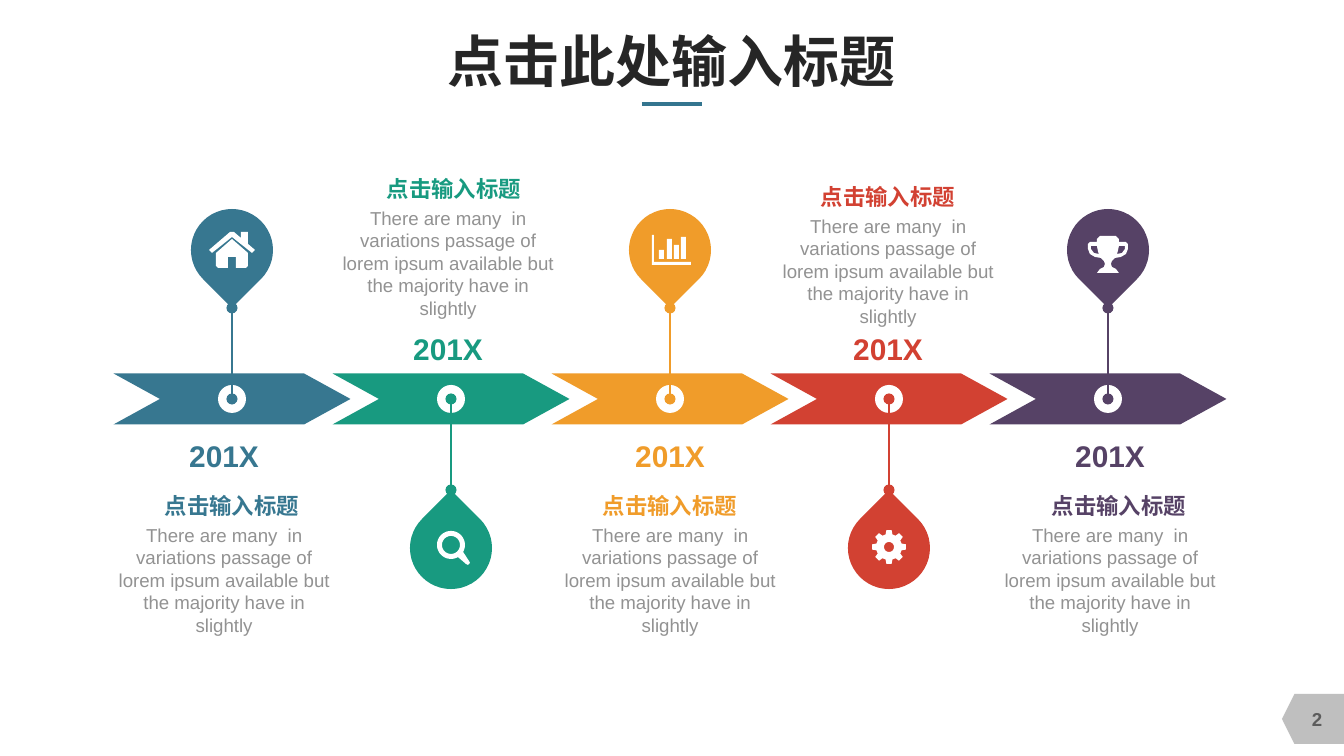
import math

from lxml import etree
from pptx import Presentation
from pptx.dml.color import RGBColor
from pptx.enum.shapes import MSO_CONNECTOR, MSO_SHAPE
from pptx.enum.text import MSO_ANCHOR, PP_ALIGN
from pptx.oxml.ns import qn
from pptx.util import Emu, Pt

STRAIGHT = MSO_CONNECTOR.STRAIGHT
ARROW = MSO_SHAPE.NOTCHED_RIGHT_ARROW
ELLIPSE = MSO_SHAPE.OVAL
TEARDROP = MSO_SHAPE.TEAR
PAGE_TAB = MSO_SHAPE.FLOWCHART_OFFPAGE_CONNECTOR
MIDDLE, TOP = MSO_ANCHOR.MIDDLE, MSO_ANCHOR.TOP
CENTER = PP_ALIGN.CENTER

TITLE = "点击此处输入标题"
YEAR = "201X"
HEADING = "点击输入标题"
BODY = ("There are many  in variations passage of lorem ipsum "
        "available but the majority have in slightly")
PAGE_NUMBER = "2"
WHITE, GREY = "FFFFFF", "929292"


def arc(x, y, radius, start=0, sweep=360, steps=48):
    angles = [math.radians(start + sweep * n / steps) for n in range(steps + 1)]
    return [(x + radius * math.cos(a), y + radius * math.sin(a)) for a in angles]


def mirrored(points):
    return [(-x, y) for x, y in reversed(points)]


def bar(left, top, right, bottom):
    return [(left, top), (right, top), (right, bottom), (left, bottom)]


def gear_rim(x, y, teeth=8):
    profile = [(-15, 13), (-9, 17), (9, 17), (15, 13)]
    return [arc(x, y, radius, tooth * 360 / teeth + turn)[0]
            for tooth in range(teeth) for turn, radius in profile]


ROOF = [(-20, 3), (-23, 0), (-2, -18), (2, -18), (9, -12), (9, -18), (16, -18),
        (16, -6), (23, 0), (20, 3), (0, -13)]
WALLS = [(-16, 3), (0, -11), (16, 3), (16, 16), (14, 18), (4, 18), (4, 7),
         (-4, 7), (-4, 18), (-14, 18), (-16, 16)]
AXES = [(-18, -15), (-16, -15), (-16, 12), (21, 12), (21, 15), (-18, 15)]
BARS = [(-11, 0), (-3, -11), (4, -5), (11, -13)]
CUP_SIDE = [(8, -14), (11, -11), (11, -8), (18, -8), (20, -6), (20, -1), (18, 4),
            (13, 7), (7, 8), (4, 11), (3, 14), (4, 17), (8, 19), (11, 23)]
CUP_HANDLE = [(11, -4), (17, -4), (17, -1), (14, 3), (9, 4), (10, 1)]
LENS_GRIP = [(18, 13), (19, 15), (17, 17), (15, 16)]

HOUSE = [ROOF, WALLS]
CHART = [AXES] + [bar(x, y, x + 5, 9) for x, y in BARS]
TROPHY = [CUP_SIDE + mirrored(CUP_SIDE), CUP_HANDLE, mirrored(CUP_HANDLE)]
GEAR = [gear_rim(0, -1), arc(0, -1, 5)]
LENS = [arc(0, -3, 14, 60, 330) + LENS_GRIP, arc(0, -3, 9)]

STAGES = [
    {"color": "377790", "icon": HOUSE, "pin_up": True,
     "text_x": 224, "heading_x": 232, "heading_y": 492},
    {"color": "189A80", "icon": LENS, "pin_up": False,
     "text_x": 448, "heading_x": 454, "heading_y": 175},
    {"color": "F09C2A", "icon": CHART, "pin_up": True,
     "text_x": 670, "heading_x": 670, "heading_y": 492},
    {"color": "D24132", "icon": GEAR, "pin_up": False,
     "text_x": 888, "heading_x": 888, "heading_y": 183},
    {"color": "564266", "icon": TROPHY, "pin_up": True,
     "text_x": 1110, "heading_x": 1119, "heading_y": 492},
]
FIRST_X, PITCH, AXIS_Y = 232, 219, 399
PIN_SIZE = 82


def px(length):
    return Emu(round(length * 914400 / 134.4))


def rgb(color):
    return RGBColor.from_string(color)


def paint(shape, color):
    shape.shadow.inherit = False
    shape.fill.solid()
    shape.fill.fore_color.rgb = rgb(color)
    shape.line.fill.background()


def add_solid(slide, preset, x, y, width, height, color, rotation=0):
    solid = slide.shapes.add_shape(preset, px(x - width / 2), px(y - height / 2),
                                   px(width), px(height))
    paint(solid, color)
    solid.rotation = rotation
    return solid


def add_line(slide, start, end, color, weight, ends=None):
    line = slide.shapes.add_connector(STRAIGHT, *map(px, start + end))
    line.line.color.rgb = rgb(color)
    line.line.width = Pt(weight)
    if ends:
        for tag in ("a:headEnd", "a:tailEnd"):
            etree.SubElement(line.line._get_or_add_ln(), qn(tag), type=ends)
    etree.SubElement(line._element.spPr, qn("a:effectLst"))


def add_text(slide, text, x, top, width, height, size, color,
             bold=True, anchor=MIDDLE, spacing=None):
    box = slide.shapes.add_textbox(px(x - width / 2), px(top), px(width), px(height))
    frame = box.text_frame
    frame.margin_left = frame.margin_right = frame.margin_top = frame.margin_bottom = 0
    frame.word_wrap = True
    frame.vertical_anchor = anchor
    frame.text = text
    paragraph = frame.paragraphs[0]
    paragraph.alignment = CENTER
    paragraph.line_spacing = spacing
    font = paragraph.runs[0].font
    font.name, font.size, font.bold = "Arial", Pt(size), bold
    font.color.rgb = rgb(color)


def add_icon(slide, contours, x, y):
    placed = [[(px(x + dx), px(y + dy)) for dx, dy in contour] for contour in contours]
    builder = slide.shapes.build_freeform(*placed[0][0])
    for number, contour in enumerate(placed):
        if number:
            builder.move_to(*contour[0])
        builder.add_line_segments(contour[1:], close=True)
    paint(builder.convert_to_shape(), WHITE)


def add_stage(slide, stage, x):
    color, up = stage["color"], stage["pin_up"]
    pin_y, tip_y = (250, 308) if up else (548, 490)
    arrow = add_solid(slide, ARROW, x, AXIS_Y, 237, 51, color)
    arrow.adjustments[0], arrow.adjustments[1] = 1, 0.91
    add_solid(slide, ELLIPSE, x, AXIS_Y, 28, 28, WHITE)
    add_line(slide, (x, tip_y), (x, AXIS_Y), color, 1.5, "oval")
    add_solid(slide, TEARDROP, x, pin_y, PIN_SIZE, PIN_SIZE, color, 135 if up else 315)
    add_icon(slide, stage["icon"], x, pin_y)
    add_text(slide, YEAR, stage["text_x"], 438 if up else 331, 70, 36, 16, color)
    add_text(slide, HEADING, stage["heading_x"], stage["heading_y"], 136, 27, 12, color,
             anchor=TOP)
    add_text(slide, BODY, stage["text_x"], stage["heading_y"] + 32, 219, 113, 10, GREY,
             bold=False, anchor=TOP, spacing=Pt(12))


def main():
    deck = Presentation()
    deck.slide_width, deck.slide_height = px(1344), px(756)
    slide = deck.slides.add_slide(deck.slide_layouts[6])
    add_line(slide, (642, 104), (702, 104), "34758F", 2)
    add_solid(slide, PAGE_TAB, 1313, 719, 50, 62, "BFBFBF", 90)
    add_text(slide, PAGE_NUMBER, 1317, 699, 67, 40, 10, "5C5C5C")
    for number, stage in enumerate(STAGES):
        add_stage(slide, stage, FIRST_X + number * PITCH)
    add_text(slide, TITLE, 672, 13, 1159, 95, 30, "262626")
    deck.save("out.pptx")


if __name__ == "__main__":
    main()
